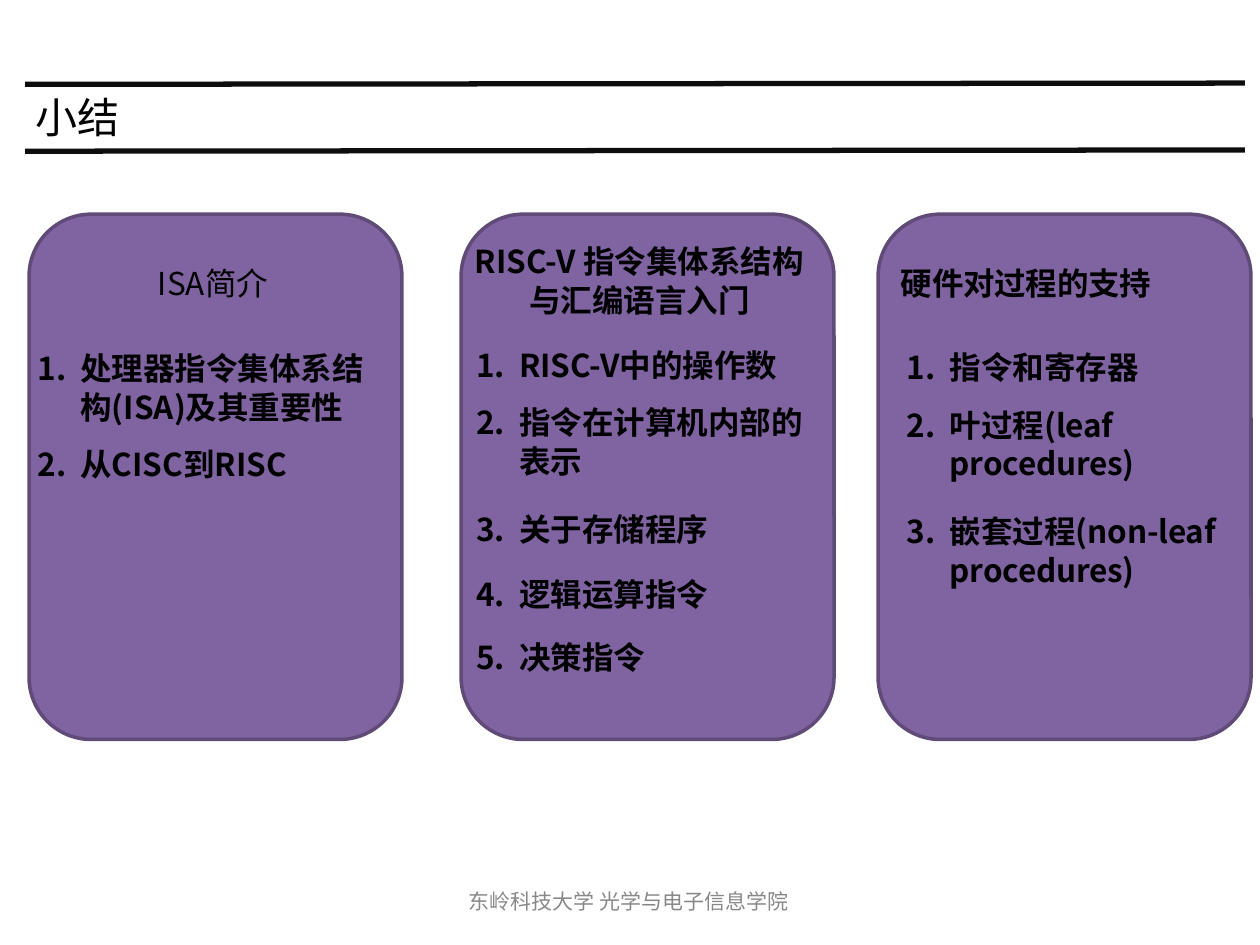
from lxml.etree import SubElement
from pptx import Presentation
from pptx.dml.color import RGBColor
from pptx.enum.shapes import MSO_CONNECTOR, MSO_SHAPE
from pptx.enum.text import MSO_ANCHOR, MSO_AUTO_SIZE, PP_ALIGN
from pptx.oxml.ns import qn
from pptx.util import Pt

BODY_FONT = "Noto Sans CJK SC"
TITLE_FONT = "Calibri"
BLACK, GREY, PURPLE, EDGE = "000000", "888888", "8064A2", "5F4A78"
DEFAULT_INSETS = (7.2, 3.6, 7.2, 3.6)
LIST_GAPS = (21.5, 10.8, 16.9, 15.2, 14.2)


def colour(value):
    return RGBColor.from_string(value)


def add_span(para, text, size=18, font=BODY_FONT, shade=BLACK, bold=False, tracking=0):
    span = para.add_run()
    span.text = text
    span.font.size, span.font.bold = Pt(size), bold
    span.font.name = font
    span.font.color.rgb = colour(shade)
    properties = span.font._element
    SubElement(properties, qn("a:ea")).set("typeface", font)
    if tracking:
        properties.set("spc", str(round(tracking * 100)))


def format_frame(box, insets, anchor=MSO_ANCHOR.TOP):
    frame = box.text_frame
    frame.word_wrap = True
    frame.auto_size = MSO_AUTO_SIZE.SHAPE_TO_FIT_TEXT
    frame.vertical_anchor = anchor
    (frame.margin_left, frame.margin_top,
     frame.margin_right, frame.margin_bottom) = map(Pt, insets)
    return frame


def add_box(page, left, top, width, height, insets=DEFAULT_INSETS, anchor=MSO_ANCHOR.TOP):
    box = page.shapes.add_textbox(Pt(left), Pt(top), Pt(width), Pt(height))
    return format_frame(box, insets, anchor)


def add_title(page, text):
    title = page.shapes.title
    title.left, title.top, title.width, title.height = Pt(20.2), Pt(51.1), Pt(97.9), Pt(30.2)
    para = format_frame(title, (0, 0.7, 0, 0), MSO_ANCHOR.MIDDLE).paragraphs[0]
    para.alignment = PP_ALIGN.LEFT
    add_span(para, text, 24, TITLE_FONT)


def add_rule(page, top):
    rule = page.shapes.add_connector(
        MSO_CONNECTOR.STRAIGHT, Pt(14.4), Pt(top), Pt(711.4), Pt(top - 0.7))
    rule.line.color.rgb = colour("0D0D0D")
    rule.line.width = Pt(3)
    SubElement(rule._element.spPr, qn("a:effectLst"))


def add_card(page, left):
    card = page.shapes.add_shape(
        MSO_SHAPE.ROUNDED_RECTANGLE, Pt(left), Pt(122.4), Pt(213.1), Pt(300.2))
    card.shadow.inherit = False
    card.fill.solid()
    card.fill.fore_color.rgb = colour(PURPLE)
    card.line.color.rgb = colour(EDGE)
    card.line.width = Pt(2)


def add_heading(page, place, align, text, bold=True, tracking=0):
    para = add_box(page, *place).paragraphs[0]
    para.alignment = align
    para.line_spacing = Pt(22)
    add_span(para, text, bold=bold, tracking=tracking)


def add_numbered_list(page, place, items, insets=DEFAULT_INSETS):
    frame = add_box(page, *place, insets)
    for index, (item, gap) in enumerate(zip(items, LIST_GAPS)):
        para = frame.add_paragraph() if index else frame.paragraphs[0]
        para.space_before = Pt(gap)
        para.line_spacing = Pt(22)
        properties = para._p.get_or_add_pPr()
        properties.set("marL", str(Pt(92.9)))
        properties.set("indent", str(Pt(-24.5)))
        SubElement(properties, qn("a:buFont")).set("typeface", BODY_FONT)
        SubElement(properties, qn("a:buAutoNum")).set("type", "arabicPeriod")
        for text, tracking in item:
            add_span(para, text, bold=True, tracking=tracking)


def add_footer(page):
    para = add_box(page, 267.8, 508.3, 185, 13.7, (0, 0, 0, 0), MSO_ANCHOR.MIDDLE).paragraphs[0]
    para.line_spacing = Pt(13.7)
    for text, tracking in (("东岭科技大", 0), ("学", 2.8), ("光学与电子信息学院", 0)):
        add_span(para, text, 12, shade=GREY, tracking=tracking)


def main():
    deck = Presentation()
    deck.slide_width, deck.slide_height = Pt(720), Pt(540)
    page = deck.slides.add_slide(deck.slide_layouts[5])

    # Title between two rules
    add_title(page, "小结")
    for top in (86.4, 48.2):
        add_rule(page, top)

    # Card backgrounds
    for left in (16.6, 263.5, 501.8):
        add_card(page, left)

    # Introduction to instruction sets
    add_heading(page, (31, 146.9, 181.4, 28.8), PP_ALIGN.CENTER, "ISA简介", bold=False)
    add_numbered_list(page, (-54, 195.8, 277.9, 83.5), [
        [("处理器指令集体系结构(ISA)及其重要性", 0)],
        [("从CISC到RISC", 0)],
    ])

    # Instruction set and assembly language
    add_heading(page, (259.9, 134.6, 211, 51.1), PP_ALIGN.CENTER,
                "RISC-V 指令集体系结构与汇编语言入门")
    add_numbered_list(page, (203.8, 196.6, 267.1, 189.4), [
        [("RISC-V", -0.1), ("中的操作数", 0)],
        [("指令在计算机内部的表示", 0)],
        [("关于存储程序", 0)],
        [("逻辑运算指令", 0)],
        [("决策指令", 0)],
    ], (0, 0.7, 0, 0))

    # Hardware support for procedures
    add_heading(page, (507.6, 146.9, 181.4, 28.8), PP_ALIGN.LEFT, "硬件对过程的支持", tracking=-0.1)
    add_numbered_list(page, (442.8, 195.1, 277.9, 144.7), [
        [("指令和寄存器", 0)],
        [("叶过程", 0), ("(leaf procedures)", -0.1)],
        [("嵌套过程", 0), ("(non-leaf procedures)", -0.1)],
    ])

    add_footer(page)
    deck.save("out.pptx")


if __name__ == "__main__":
    main()
